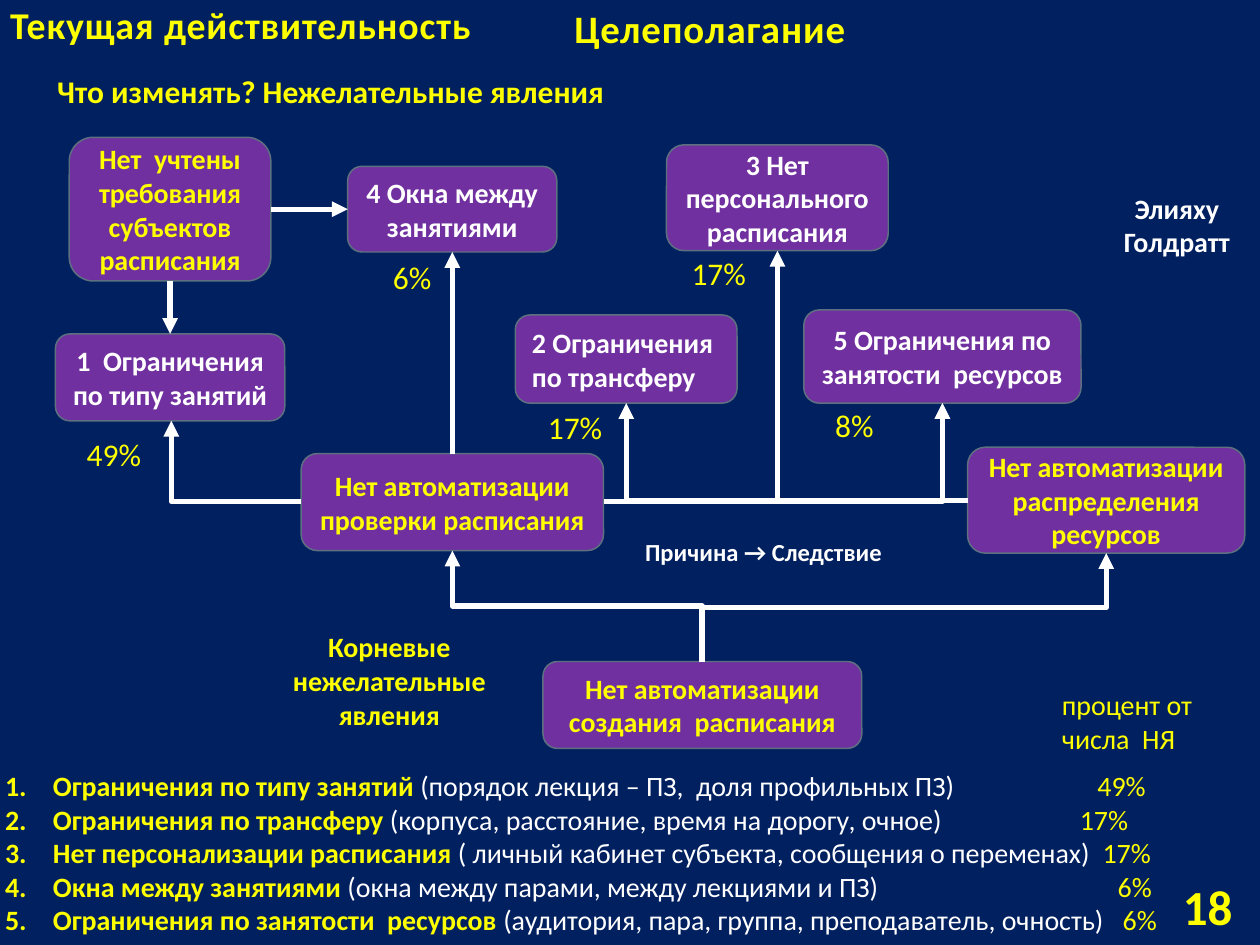
from lxml import etree
from pptx import Presentation
from pptx.dml.color import RGBColor
from pptx.enum.shapes import MSO_CONNECTOR, MSO_SHAPE
from pptx.enum.text import MSO_ANCHOR, MSO_AUTO_SIZE, PP_ALIGN
from pptx.oxml.ns import qn
from pptx.util import Inches, Pt

NAVY = RGBColor(0x00, 0x20, 0x60)
PURPLE = RGBColor(0x70, 0x30, 0xA0)
SLATE = RGBColor(0x5D, 0x70, 0x80)
YELLOW = RGBColor(0xFF, 0xFF, 0x00)
WHITE = RGBColor(0xFF, 0xFF, 0xFF)
FONT = "Calibri"
LEFT, CENTER, RIGHT = PP_ALIGN.LEFT, PP_ALIGN.CENTER, PP_ALIGN.RIGHT
TOP, MIDDLE = MSO_ANCHOR.TOP, MSO_ANCHOR.MIDDLE
ROUNDED = MSO_SHAPE.ROUNDED_RECTANGLE
STRAIGHT, ELBOW = MSO_CONNECTOR.STRAIGHT, MSO_CONNECTOR.ELBOW
NO_AUTOSIZE = MSO_AUTO_SIZE.NONE
SIDE_TOP, SIDE_LEFT, SIDE_BOTTOM, SIDE_RIGHT = range(4)

# Effects: name -> box, wording, colour, alignment
EFFECTS = {
    "personal": ((5.29, 1.15, 1.76, 0.84), "3 Нет персонального расписания", WHITE, CENTER),
    "gaps": ((2.76, 1.32, 1.66, 0.68), "4 Окна между занятиями", WHITE, CENTER),
    "resources": ((6.38, 2.46, 2.2, 0.74), "5 Ограничения по занятости  ресурсов", WHITE, CENTER),
    "transfer": ((4.09, 2.5, 1.76, 0.7), "2 Ограничения по трансферу", WHITE, LEFT),
    "allocation": ((7.68, 3.55, 2.2, 0.84), "Нет автоматизации распределения ресурсов",
                   YELLOW, CENTER),
    "creation": ((4.31, 5.25, 2.53, 0.69), "Нет автоматизации создания  расписания",
                 YELLOW, CENTER),
    "checking": ((2.39, 3.6, 2.4, 0.77), "Нет автоматизации проверки расписания",
                 YELLOW, CENTER),
    "demands": ((0.55, 1.09, 1.6, 1.14), "Нет  учтены требования субъектов расписания",
                YELLOW, CENTER),
    "lesson type": ((0.44, 2.65, 1.82, 0.69), "1  Ограничения по типу занятий", WHITE, CENTER),
}
# Straight arrows: effect, its side, cause, its side
STRAIGHT_ARROWS = [
    ("lesson type", SIDE_TOP, "demands", SIDE_BOTTOM),
    ("gaps", SIDE_BOTTOM, "checking", SIDE_TOP),
    ("gaps", SIDE_LEFT, "demands", SIDE_RIGHT),
]
# Bent arrows: arrow tip, tail, number of bends
BENT_ARROWS = [
    ((8.78, 4.39), (5.57, 5.25), 2),
    ((3.59, 4.37), (5.57, 5.25), 2),
    ((1.36, 3.34), (2.39, 3.98), 1),
    ((7.48, 3.2), (4.79, 3.98), 1),
    ((4.97, 3.2), (7.68, 3.97), 1),
    ((6.17, 1.99), (7.68, 3.97), 1),
    ((7.48, 3.2), (7.68, 3.97), 1),
]
SHARES = [("49%", 0.59, 3.4), ("17%", 4.25, 3.19), ("17%", 5.39, 1.97),
          ("8%", 6.53, 3.17), ("6%", 3.02, 2)]
# List: effect, explanation, share, tab stop of the share
RANKING = [
    ("Ограничения по типу занятий ", "(порядок лекция – ПЗ,  доля профильных ПЗ)", "49%", 8.67),
    ("Ограничения по трансферу ", "(корпуса, расстояние, время на дорогу, очное)", "17%", 8.53),
    ("Нет персонализации расписания ",
     "( личный кабинет субъекта, сообщения о переменах)", "17%", 8.71),
    ("Окна между занятиями ", "(окна между парами, между лекциями и ПЗ)", "6%", 8.83),
    ("Ограничения по занятости  ресурсов ",
     "(аудитория, пара, группа, преподаватель, очность)", "6%", 8.87),
]


def add_span(para, text, size, color, bold=False, spacing=None):
    span = para.add_run()
    span.text = text
    font = span.font
    font.name, font.size, font.bold = FONT, Pt(size), bold
    font.color.rgb = color
    if spacing:
        span._r.get_or_add_rPr().set("spc", str(spacing))


def set_place(shape, box):
    shape.left, shape.top, shape.width, shape.height = map(Inches, box)


def add_label(page, box, lines, size, color, bold=True, align=CENTER,
              anchor=TOP, wrap=True, spacing=None):
    frame = page.shapes.add_textbox(*map(Inches, box)).text_frame
    frame.word_wrap = wrap
    frame.vertical_anchor = anchor
    for index, line in enumerate(lines):
        para = frame.add_paragraph() if index else frame.paragraphs[0]
        para.alignment = align
        add_span(para, line, size, color, bold, spacing)


def add_effect(page, box, text, color, align):
    shape = page.shapes.add_shape(ROUNDED, *map(Inches, box))
    shape.shadow.inherit = False
    shape.fill.solid()
    shape.fill.fore_color.rgb = PURPLE
    shape.line.color.rgb = SLATE
    shape.line.width = Pt(0.85)
    frame = shape.text_frame
    frame.word_wrap = True
    frame.vertical_anchor = MIDDLE
    frame.paragraphs[0].alignment = align
    add_span(frame.paragraphs[0], text, 16, color, True)
    return shape


def style_arrow(arrow):
    arrow.line.color.rgb = WHITE
    arrow.line.width = Pt(3)
    etree.SubElement(arrow.line._get_or_add_ln(), qn("a:headEnd"), type="triangle")
    etree.SubElement(arrow._element.spPr, qn("a:effectLst"))


def add_straight_arrow(page, effect, effect_side, cause, cause_side):
    arrow = page.shapes.add_connector(STRAIGHT, 0, 0, 0, 0)
    arrow.begin_connect(effect, effect_side)
    arrow.end_connect(cause, cause_side)
    style_arrow(arrow)


def add_bent_arrow(page, tip, tail, bends):
    """Leave the tip downwards: a quarter turn of the preset connector."""
    across, down = tail[0] - tip[0], tail[1] - tip[1]
    left = (tip[0] + tail[0] - down) / 2
    top = (tip[1] + tail[1] - abs(across)) / 2
    arrow = page.shapes.add_connector(
        ELBOW, *map(Inches, (left, top, left + down, top + abs(across))))
    properties = arrow._element.spPr
    properties.find(qn("a:prstGeom")).set("prst", f"bentConnector{bends + 1}")
    transform = properties.find(qn("a:xfrm"))
    transform.set("rot", str((270 if across > 0 else 90) * 60000))
    if across > 0:
        transform.set("flipH", "1")
    style_arrow(arrow)


def fill_title(title, box):
    set_place(title, box)
    frame = title.text_frame
    frame.auto_size = NO_AUTOSIZE
    frame.word_wrap = False
    frame.vertical_anchor = MIDDLE
    frame.paragraphs[0].alignment = LEFT
    add_span(frame.paragraphs[0], "Текущая действительность", 21.6, YELLOW, True, 50)


def fill_ranking(body, box):
    set_place(body, box)
    frame = body.text_frame
    frame.auto_size = NO_AUTOSIZE
    frame.word_wrap = True
    for index, (effect, explanation, share, stop) in enumerate(RANKING):
        para = frame.add_paragraph() if index else frame.paragraphs[0]
        properties = para._p.get_or_add_pPr()
        properties.set("marL", str(Inches(0.38)))
        properties.set("indent", str(-Inches(0.38)))
        etree.SubElement(properties, qn("a:buFont"), typeface="+mj-lt")
        etree.SubElement(properties, qn("a:buAutoNum"), type="arabicPeriod")
        tabs = etree.SubElement(properties, qn("a:tabLst"))
        etree.SubElement(tabs, qn("a:tab"), pos=str(Inches(stop)), algn="l")
        para.space_before = Pt(0)
        add_span(para, effect, 16, YELLOW, True)
        add_span(para, explanation + "\t", 16, WHITE)
        add_span(para, share, 16, YELLOW)


def add_diagram(page):
    effects = {name: add_effect(page, *parts) for name, parts in EFFECTS.items()}
    for effect, effect_side, cause, cause_side in STRAIGHT_ARROWS:
        add_straight_arrow(page, effects[effect], effect_side, effects[cause], cause_side)
    for bent in BENT_ARROWS:
        add_bent_arrow(page, *bent)
    for share, left, top in SHARES:
        add_label(page, (left, top, 0.7, 0.4), [share], 18, YELLOW, False, LEFT)


def add_captions(page):
    add_label(page, (4.46, 0, 2.43, 0.45), ["Целеполагание"], 22.2, YELLOW,
              align=LEFT, anchor=MIDDLE, wrap=False, spacing=50)
    add_label(page, (0.05, 0.52, 5.15, 0.4), ["Что изменять? Нежелательные явления"], 18, YELLOW)
    add_label(page, (2.03, 4.95, 2.12, 0.91), ["Корневые нежелательные явления"], 16, YELLOW)
    add_label(page, (8.8, 1.47, 1.08, 0.64), ["Элияху Голдратт"], 16, WHITE)
    add_label(page, (4.92, 4.21, 2.28, 0.34), ["Причина → Следствие"], 14, WHITE)
    add_label(page, (8.33, 5.41, 1.32, 0.64), ["процент от", "числа  НЯ"], 16, YELLOW, False, LEFT)
    add_label(page, (8.93, 6.99, 0.95, 0.4), ["18"], 28, YELLOW, align=RIGHT, anchor=MIDDLE)


def main():
    deck = Presentation()
    deck.slide_width, deck.slide_height = Inches(10), Inches(7.5)
    page = deck.slides.add_slide(deck.slide_layouts[1])
    page.background.fill.solid()
    page.background.fill.fore_color.rgb = NAVY
    fill_title(page.shapes.title, (-0.02, -0.05, 4.05, 0.48))
    fill_ranking(page.placeholders[1], (-0.06, 6.05, 9.55, 1.45))
    add_diagram(page)
    add_captions(page)
    deck.save("out.pptx")


if __name__ == "__main__":
    main()
